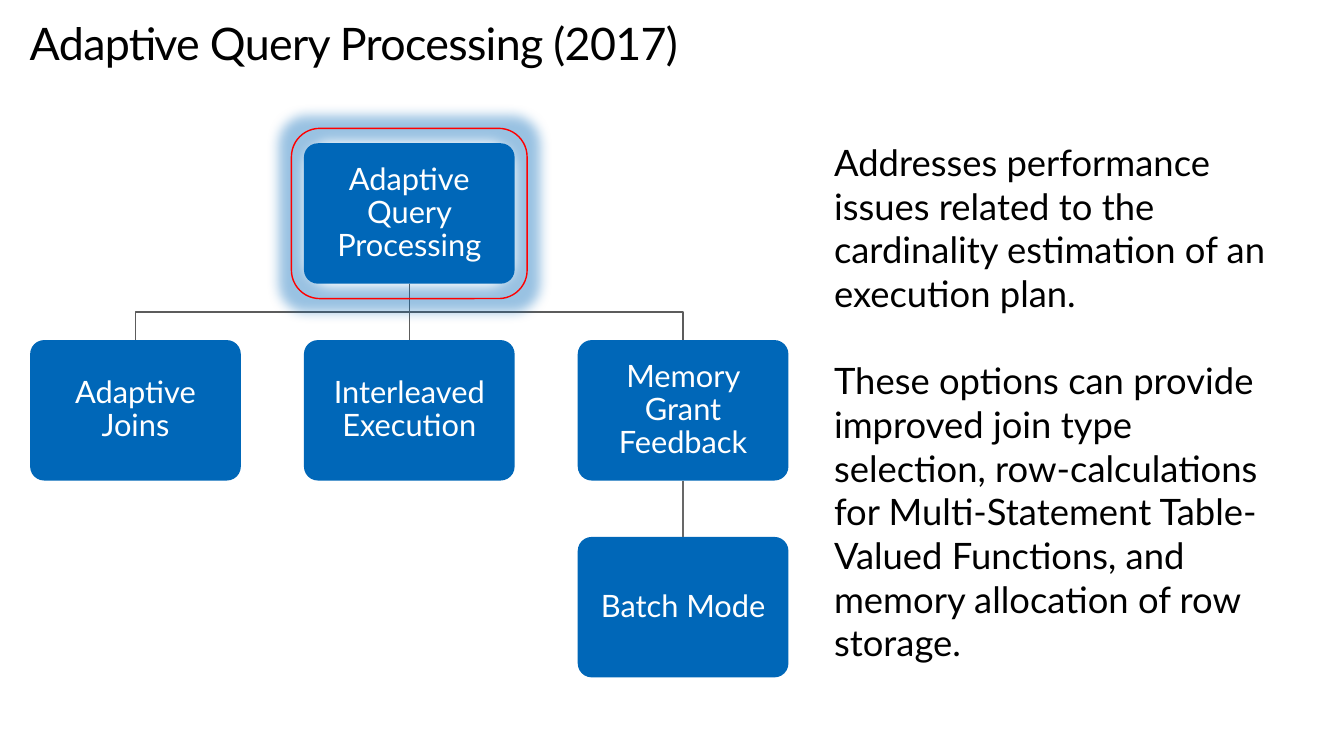
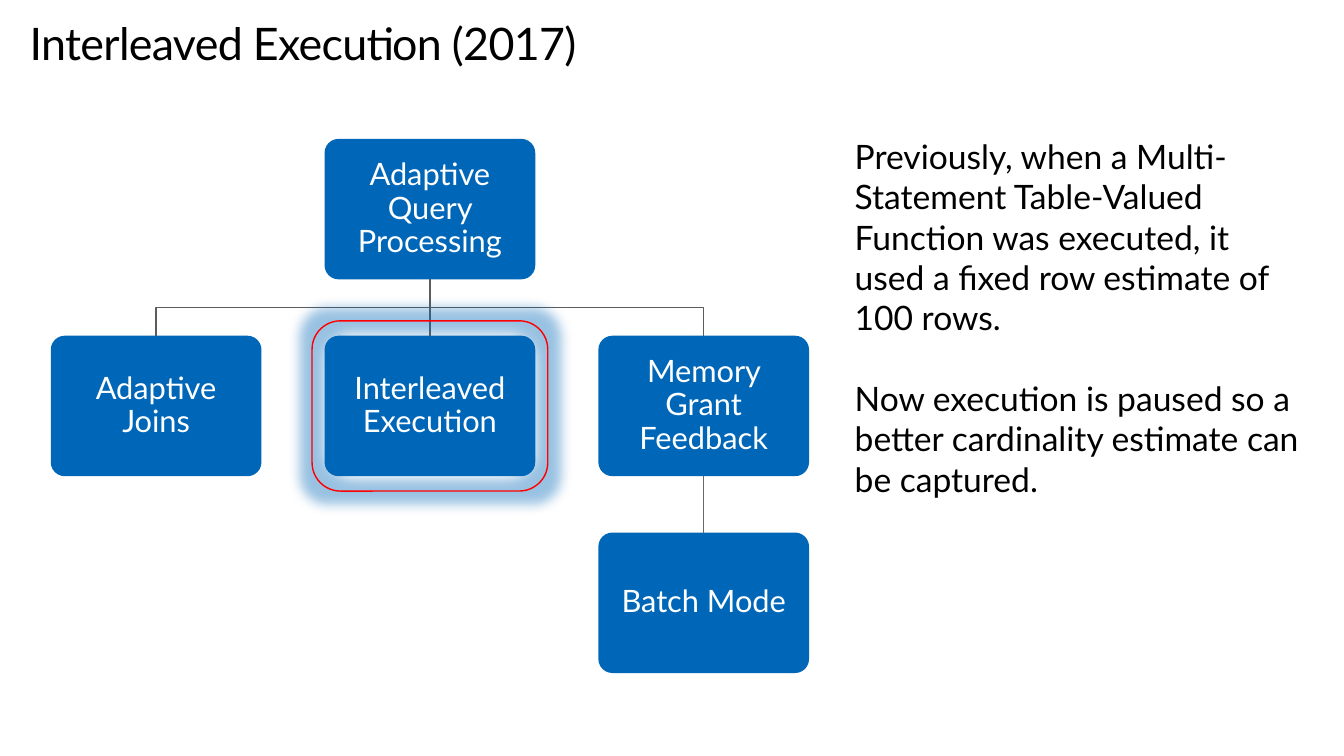
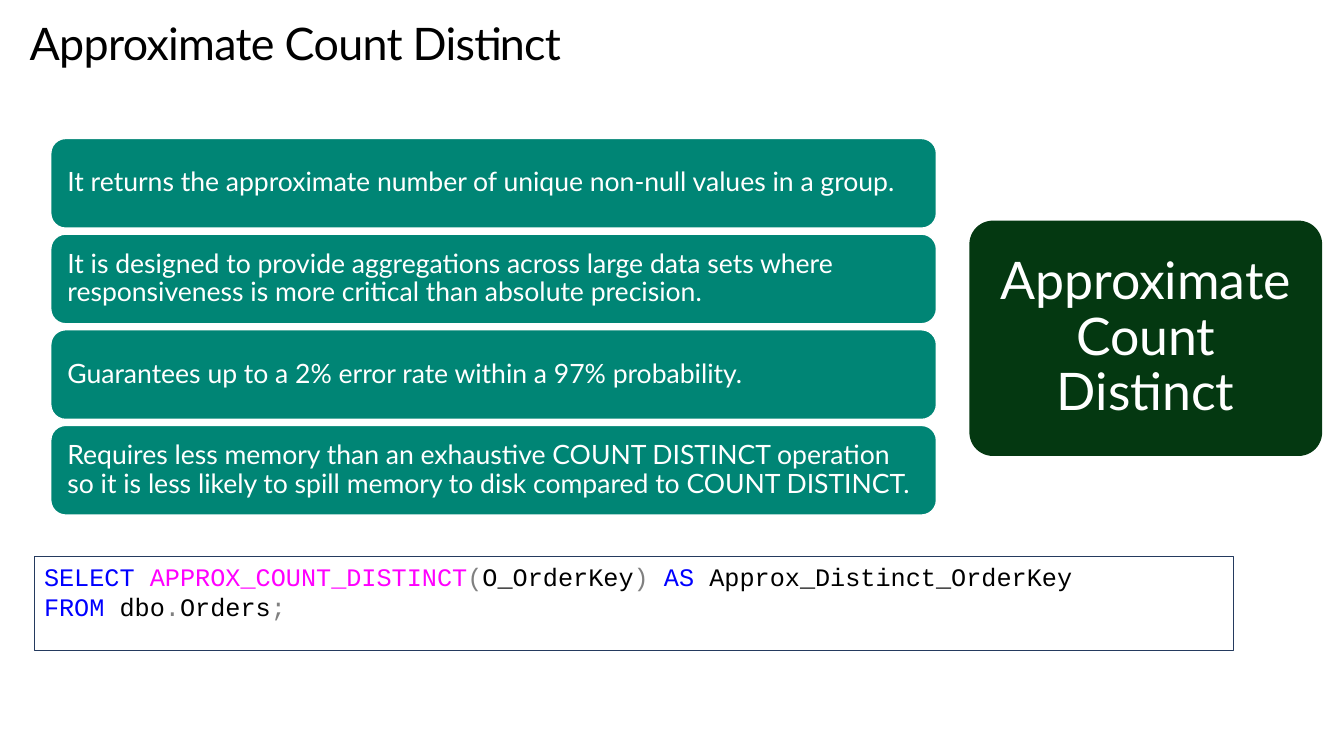
from lxml import etree
from pptx import Presentation
from pptx.dml.color import RGBColor
from pptx.enum.shapes import MSO_CONNECTOR, MSO_SHAPE
from pptx.enum.text import MSO_ANCHOR, PP_ALIGN
from pptx.oxml.ns import qn
from pptx.util import Cm, Pt

ROUNDED, RECTANGLE = MSO_SHAPE.ROUNDED_RECTANGLE, MSO_SHAPE.RECTANGLE
STRAIGHT = MSO_CONNECTOR.STRAIGHT
TOP, MIDDLE = MSO_ANCHOR.TOP, MSO_ANCHOR.MIDDLE
LEFT, CENTER = PP_ALIGN.LEFT, PP_ALIGN.CENTER
TOP_SIDE, BOTTOM_SIDE = 0, 2

BLACK = RGBColor(0x00, 0x00, 0x00)
WHITE = RGBColor(0xFF, 0xFF, 0xFF)
BLUE = RGBColor(0x00, 0x67, 0xB8)
TEAL = RGBColor(0x00, 0x85, 0x75)
DARK_GREEN = RGBColor(0x04, 0x38, 0x11)
RED = RGBColor(0xFF, 0x00, 0x00)
NAVY = RGBColor(0x24, 0x3A, 0x5E)
BRANCH_GRAY = RGBColor(0x5C, 0x5C, 0x5C)
LEAF_GRAY = RGBColor(0x68, 0x68, 0x68)
KEYWORD = RGBColor(0x00, 0x00, 0xFF)
FUNCTION = RGBColor(0xFF, 0x00, 0xFF)
PUNCTUATION = RGBColor(0x80, 0x80, 0x80)

TEXT_FONT, CODE_FONT = "Lato", "Courier New"

# Tree grid, in cm
NODE_W, NODE_H = 5.31, 3.54
COLUMN_STEP, ROW_STEP = 6.9, 4.96
FRAME_W, FRAME_H = 5.94, 4.29
NODES = {
    "Adaptive Query Processing": (1, 0),
    "Adaptive Joins": (0, 1),
    "Interleaved Execution": (1, 1),
    "Memory Grant Feedback": (2, 1),
    "Batch Mode": (2, 2),
}

FACTS = [
    "It returns the approximate number of unique non-null values in a group.",
    "It is designed to provide aggregations across large data sets where "
    "responsiveness is more critical than absolute precision.",
    "Guarantees up to a 2% error rate within a 97% probability.",
    "Requires less memory than an exhaustive COUNT DISTINCT operation so it is "
    "less likely to spill memory to disk compared to COUNT DISTINCT.",
]
QUERY = [
    [("SELECT ", KEYWORD), ("APPROX_COUNT_DISTINCT", FUNCTION),
     ("(", PUNCTUATION), ("O_OrderKey", BLACK), (") ", PUNCTUATION),
     ("AS ", KEYWORD), ("Approx_Distinct_OrderKey", BLACK)],
    [("FROM ", KEYWORD), ("dbo", BLACK), (".", PUNCTUATION),
     ("Orders", BLACK), (";", PUNCTUATION)],
]


def style_font(font, size, color, name=TEXT_FONT):
    font.name, font.size = name, Pt(size)
    font.color.rgb = color


def set_margins(frame, margin):
    frame.margin_left = frame.margin_right = Cm(margin)
    frame.margin_top = frame.margin_bottom = Cm(margin)


def set_line(shape, color, width=1):
    shape.line.color.rgb = color
    shape.line.width = Pt(width)


def add_slide(prs, title):
    slide = prs.slides.add_slide(prs.slide_layouts[6])
    heading = slide.shapes.add_textbox(Cm(0.75), Cm(0.48), Cm(30.48), Cm(1.28))
    frame = heading.text_frame
    frame.word_wrap = True
    set_margins(frame, 0)
    frame.text = title
    paragraph = frame.paragraphs[0]
    paragraph.line_spacing = Pt(36.2)
    run = paragraph.runs[0]
    style_font(run.font, 32, BLACK)
    run.font._element.set("spc", "-50")
    return slide


def add_outline(slide, kind, left, top, width, height, color, line_width=1):
    """Add an unfilled shape with a coloured line."""
    outline = slide.shapes.add_shape(
        kind, Cm(left), Cm(top), Cm(width), Cm(height))
    outline.shadow.inherit = False
    outline.fill.background()
    set_line(outline, color, line_width)
    return outline


def add_card(slide, text, left, top, width, height, fill, size,
             margin, align=CENTER, corner=None):
    """Add a filled rounded box holding white text."""
    card = slide.shapes.add_shape(
        ROUNDED, Cm(left), Cm(top), Cm(width), Cm(height))
    card.shadow.inherit = False
    card.fill.solid()
    card.fill.fore_color.rgb = fill
    card.line.fill.background()
    if corner is not None:
        card.adjustments[0] = corner
    frame = card.text_frame
    frame.word_wrap = True
    frame.vertical_anchor = MIDDLE
    set_margins(frame, margin)
    frame.text = text
    paragraph = frame.paragraphs[0]
    paragraph.alignment = align
    paragraph.line_spacing = 0.9
    style_font(paragraph.runs[0].font, size, WHITE)
    return card


def add_link(slide, parent, child, color):
    """Join a node to the one straight below it."""
    link = slide.shapes.add_connector(STRAIGHT, 0, 0, 0, 0)
    link.begin_connect(parent, BOTTOM_SIDE)
    link.end_connect(child, TOP_SIDE)
    set_line(link, color)
    etree.SubElement(link._element.spPr, qn("a:effectLst"))


def add_branch(slide, parent, child):
    """Draw a bent line from a node to one below and to the side."""
    start_x = parent.left + parent.width // 2
    start_y = parent.top + parent.height
    end_x = child.left + child.width // 2
    bend_y = (start_y + child.top) // 2
    outline = slide.shapes.build_freeform(start_x, start_y)
    outline.add_line_segments(
        [(start_x, bend_y), (end_x, bend_y), (end_x, child.top)], close=False)
    branch = outline.convert_to_shape()
    branch.shadow.inherit = False
    branch.fill.background()
    set_line(branch, BRANCH_GRAY)


def add_glow(shape, radius, color, opacity):
    effects = shape._element.spPr.find(qn("a:effectLst"))
    glow = etree.SubElement(effects, qn("a:glow"), rad=str(Pt(radius)))
    tint = etree.SubElement(glow, qn("a:srgbClr"), val=str(color))
    etree.SubElement(tint, qn("a:alpha"), val=str(opacity * 1000))


def add_tree(slide, left, top, highlighted):
    nodes = {}
    for name, (column, row) in NODES.items():
        nodes[name] = add_card(
            slide, name, left + column * COLUMN_STEP, top + row * ROW_STEP,
            NODE_W, NODE_H, BLUE, 22, margin=0.33, corner=0.1)
    root, joins, interleaved, memory, batch = nodes.values()
    add_branch(slide, root, joins)
    add_branch(slide, root, memory)
    add_link(slide, root, interleaved, BRANCH_GRAY)
    add_link(slide, memory, batch, LEAF_GRAY)

    column, row = NODES[highlighted]
    frame = add_outline(
        slide, ROUNDED,
        left + column * COLUMN_STEP - (FRAME_W - NODE_W) / 2,
        top + row * ROW_STEP - (FRAME_H - NODE_H) / 2,
        FRAME_W, FRAME_H, RED)
    add_glow(frame, 18, BLUE, 40)


def add_explanation(slide, paragraphs, left, top, height, size):
    box = slide.shapes.add_textbox(Cm(left), Cm(top), Cm(11.84), Cm(height))
    frame = box.text_frame
    frame.word_wrap = True
    frame.text = "\n".join(paragraphs)
    for index, paragraph in enumerate(frame.paragraphs):
        if index:
            paragraph.space_before = Pt(round(size * 1.2, 1))
        style_font(paragraph.runs[0].font, size, BLACK)


def add_code(slide, lines, left, top, width, height):
    panel = add_outline(slide, RECTANGLE, left, top, width, height, NAVY, 0.75)
    frame = panel.text_frame
    frame.word_wrap = True
    frame.vertical_anchor = TOP
    for index, tokens in enumerate(lines):
        paragraph = frame.add_paragraph() if index else frame.paragraphs[0]
        paragraph.alignment = LEFT
        for text, color in tokens:
            run = paragraph.add_run()
            run.text = text
            style_font(run.font, 18, color, CODE_FONT)


def build_adaptive_processing(prs):
    slide = add_slide(prs, "Adaptive Query Processing (2017)")
    add_tree(slide, 0.76, 3.61, "Adaptive Query Processing")
    add_explanation(slide, [
        "Addresses performance issues related to the cardinality estimation "
        "of an execution plan.",
        "These options can provide improved join type selection, "
        "row-calculations for Multi-Statement Table-Valued Functions, and "
        "memory allocation of row storage.",
    ], 20.77, 3.41, 13.6, 26)


def build_interleaved_execution(prs):
    slide = add_slide(prs, "Interleaved Execution (2017)")
    add_tree(slide, 1.28, 3.5, "Interleaved Execution")
    add_explanation(slide, [
        "Previously, when a Multi-Statement Table-Valued Function was "
        "executed, it used a fixed row estimate of 100 rows.",
        "Now execution is paused so a better cardinality estimate can be "
        "captured.",
    ], 21.29, 3.3, 9.5, 24)


def build_count_distinct(prs):
    slide = add_slide(prs, "Approximate Count Distinct")
    fact_height, gap = 2.26, 0.15
    for index, fact in enumerate(FACTS):
        card = add_card(
            slide, fact, 1.28, 3.49 + index * (fact_height + gap),
            22.32, fact_height, TEAL, 19, margin=0.31, align=LEFT)
        set_line(card, WHITE)
    add_card(slide, "Approximate Count Distinct", 24.43, 5.56, 8.89, 5.93,
             DARK_GREEN, 37, margin=0.55, corner=0.1)
    add_code(slide, QUERY, 0.86, 14.02, 30.23, 2.37)


def main():
    prs = Presentation()
    prs.slide_width, prs.slide_height = Cm(33.87), Cm(19.05)
    build_adaptive_processing(prs)
    build_interleaved_execution(prs)
    build_count_distinct(prs)
    prs.save("out.pptx")


if __name__ == "__main__":
    main()
